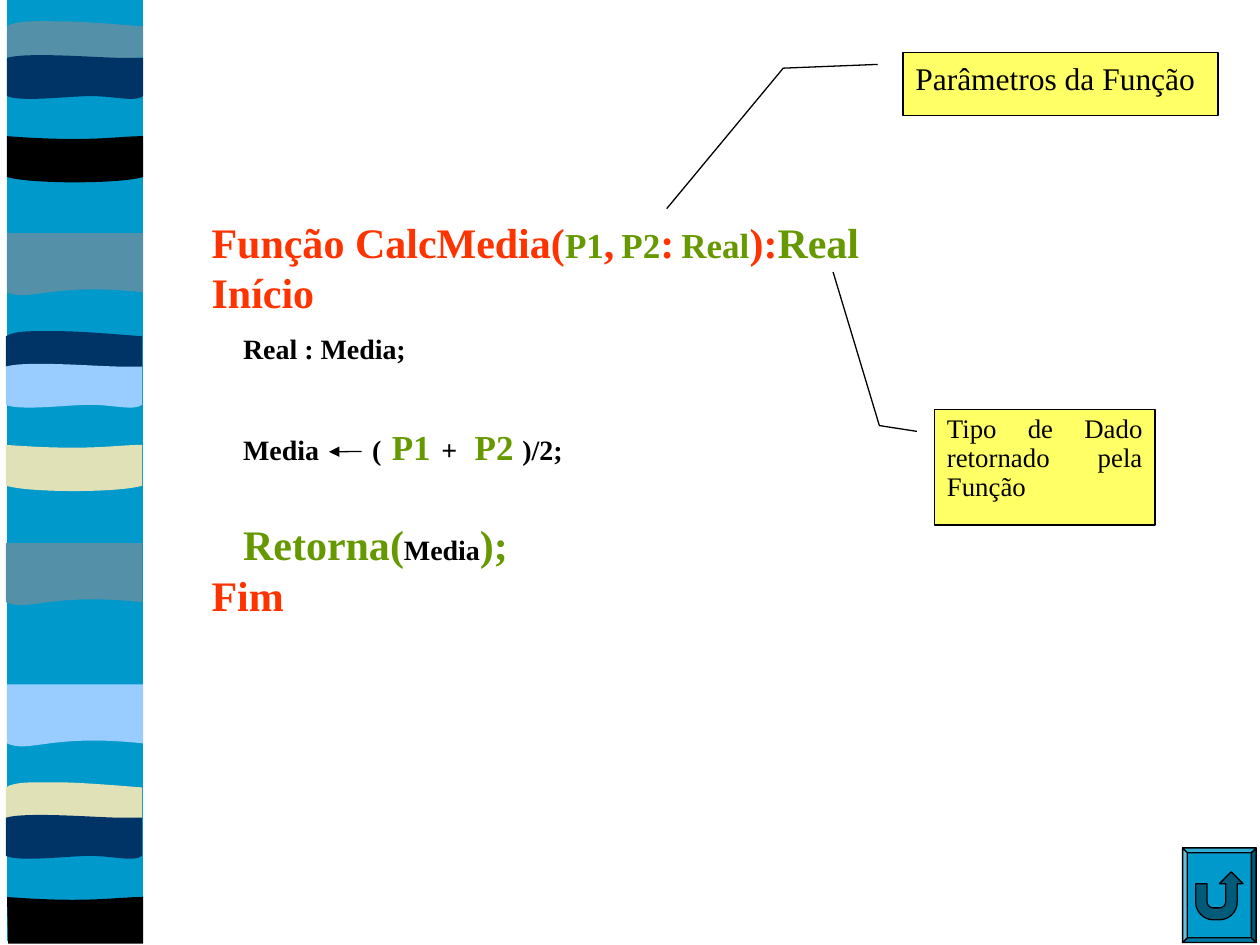
from copy import deepcopy
from pptx import Presentation
from pptx.dml.color import RGBColor
from pptx.enum.shapes import MSO_CONNECTOR as Link, MSO_SHAPE as Shape
from pptx.enum.text import MSO_ANCHOR as Anchor, MSO_AUTO_SIZE as Fit, PP_ALIGN as Align
from pptx.oxml.ns import qn
from pptx.util import Pt
from lxml.etree import SubElement

COLORS = {
    "sea": "0099CC", "slate": "5490A8", "navy": "003366", "sky": "99CCFF",
    "sand": "E1E1B7", "black": "000000", "red": "FF3300", "green": "669900",
    "note": "FFFF66",
}
BAND_WIDTH = 77.8

OUTLINES = {
    "column": [(BAND_WIDTH, 0), (BAND_WIDTH, 538), (0, 538), (0, 0)],
    "flag": [(BAND_WIDTH, 0), (BAND_WIDTH, 33.8),
             (24.5, 28.1, 13, 39.6, 0, 33.8), (0, 0)],
    "arch": [(BAND_WIDTH, 3.6), (BAND_WIDTH, 20.9),
             (64.8, 23.8, 13, 23.8, 0, 20.9), (0, 3.6),
             (5, 0, 17.3, 0.7, 30.2, 0.7),
             (43.2, 0.7, 68.4, 2.9, BAND_WIDTH, 3.6)],
    "bowl": [(BAND_WIDTH, 0), (BAND_WIDTH, 23.3),
             (64.8, 27.4, 13, 27.4, 0, 23.3), (0, 0),
             (48.2, 3.6, 61.9, 0, BAND_WIDTH, 0)],
    "ripple": [(BAND_WIDTH, 3.6), (BAND_WIDTH, 25.4),
               (73.4, 29, 61.2, 25.4, 48.2, 25.4),
               (35.3, 25.4, 8, 29, 0, 25.4), (0, 3.6),
               (11.5, 0, 53.3, 3.6, 66.2, 3.6),
               (79.2, 3.6, 75.6, 3.6, BAND_WIDTH, 3.6)],
    "foot": [(BAND_WIDTH, 0), (BAND_WIDTH, 26.6), (0.7, 26.6), (0, 0),
             (47.5, 3.6, 61.2, 0, BAND_WIDTH, 0)],
}

BANDS = [
    ("column", 4, 0, "sea"),
    ("flag", 4, 133.2, "slate"),
    ("arch", 4, 11.5, "slate"),
    ("bowl", 4, 77.8, "black"),
    ("ripple", 4, 29.5, "navy"),
    ("flag", 3.4, 310.3, "slate"),
    ("arch", 3.4, 188.6, "navy"),
    ("bowl", 3.4, 254.2, "sand"),
    ("ripple", 3.4, 205.9, "sky"),
    ("flag", 4, 391, "sky"),
    ("arch", 3.4, 446.4, "sand"),
    ("foot", 4, 512.6, "black"),
    ("ripple", 3.4, 463.7, "navy"),
]

BEVEL_SHADES = ["lightenLess", "darken", "darkenLess", "lighten"]
RETURN_SIGN = [(7.5, 20.4), (14, 20.4), (14, 30.9),
               (14, 32.7, 15.7, 34.2, 17.6, 34.2), (21, 34.2),
               (23, 34.2, 24.6, 32.7, 24.6, 30.9), (24.6, 20.4),
               (21, 20.4), (27.8, 13.6), (34.6, 20.4), (31.2, 20.4), (31.2, 30.9),
               (31.2, 36.4, 26.6, 41, 21, 41), (17.6, 41),
               (12, 41, 7.5, 36.4, 7.5, 30.9)]

INDENT = ("   ", 24, "red")
SPACE = (" ", 24, "red")
THIN_SPACE = (" ", 16, "black", False)

CODE = [
    (0, [("Função CalcMedia(", 24, "red"), ("P1", 20, "green"), (",", 24, "red"),
         THIN_SPACE, ("P2", 20, "green"), (":", 24, "red"), THIN_SPACE,
         ("Real", 20, "green"), ("):", 24, "red"), ("Real", 24, "green")]),
    (0, [("Início", 24, "red")]),
    (0, [INDENT, ("Real : Media;", 16, "black")]),
    (1, [INDENT, ("Media", 16, "black"), ("\t", 24, "red"), ("(", 16, "black"),
         SPACE, ("P1", 20, "green"), SPACE, ("+", 16, "black"), SPACE,
         THIN_SPACE, ("P2 ", 20, "green"), (")/2;", 16, "black")]),
    (1, [INDENT, ("Retorna(", 24, "green"), ("Media", 16, "black"),
         (");", 24, "green")]),
    (0, [("Fim", 24, "red")]),
]


class Painter:
    font = "Times New Roman"
    stroke = 0.75

    def __init__(self, slide):
        self.slide = slide
        self.shapes = slide.shapes

    def color(self, name):
        return RGBColor.from_string(COLORS[name])

    def finish(self, shape, fill, outlined=True):
        shape.shadow.inherit = False
        shape.fill.solid()
        shape.fill.fore_color.rgb = self.color(fill)
        if outlined:
            shape.line.color.rgb = self.color("black")
            shape.line.width = Pt(self.stroke)
        else:
            shape.line.fill.background()

    def run(self, paragraph, text, size, color, bold=True):
        run = paragraph.add_run()
        run.text = text
        run.font.name = self.font
        run.font.size = Pt(size)
        run.font.bold = bold
        run.font.color.rgb = self.color(color)

    def outline(self, left, top, contours, shades, fill, outlined):
        builder = None
        for edges in contours:
            nodes = [(Pt(left + edge[i]), Pt(top + edge[i + 1]))
                     for edge in edges for i in range(0, len(edge), 2)]
            if builder:
                builder.move_to(*nodes[0])
            else:
                builder = self.shapes.build_freeform(*nodes[0], scale=1.0)
            builder.add_line_segments(nodes[1:], close=True)
        shape = builder.convert_to_shape()
        path = shape._element.find(".//" + qn("a:path"))
        steps = iter([deepcopy(step) for step in path])
        for step in list(path):
            path.remove(step)
        for edges, shade in zip(contours, shades):
            part = SubElement(path.getparent(), qn("a:path"), w=path.get("w"),
                              h=path.get("h"), fill=shade)
            for edge in edges:
                if len(edge) == 2:
                    part.append(next(steps))
                else:
                    curve = SubElement(part, qn("a:cubicBezTo"))
                    for _ in range(3):
                        curve.append(next(steps)[0])
            part.append(next(steps))
        path.getparent().remove(path)
        self.finish(shape, fill, outlined)

    def band(self, kind, left, top, fill):
        self.outline(left, top, [OUTLINES[kind]], ["norm"], fill, outlined=False)

    def button(self, left, top, width, height, bevel):
        outer = [(0, 0), (width, 0), (width, height), (0, height)]
        inner = [(bevel, bevel), (width - bevel, bevel),
                 (width - bevel, height - bevel), (bevel, height - bevel)]
        sides = [[outer[i], outer[(i + 1) % 4], inner[(i + 1) % 4], inner[i]]
                 for i in range(4)]
        self.outline(left, top, [outer, *sides, RETURN_SIGN],
                     ["norm", *BEVEL_SHADES, "darken"], "sea", outlined=True)

    def code(self, left, top, width, height, lines, pitch, tab):
        frame = self.shapes.add_textbox(Pt(left), Pt(top), Pt(width), Pt(height)).text_frame
        frame.word_wrap = True
        frame.auto_size = Fit.SHAPE_TO_FIT_TEXT
        for number, (skipped, runs) in enumerate(lines):
            paragraph = frame.add_paragraph() if number else frame.paragraphs[0]
            stops = SubElement(paragraph._p.get_or_add_pPr(), qn("a:tabLst"))
            SubElement(stops, qn("a:tab"), pos=str(Pt(tab)), algn="l")
            paragraph.line_spacing = Pt(pitch)
            if skipped:
                paragraph.space_before = Pt(pitch * skipped)
            for part in runs:
                self.run(paragraph, *part)

    def arrow(self, x1, y1, x2, y2):
        arrow = self.shapes.add_connector(Link.STRAIGHT, Pt(x1), Pt(y1), Pt(x2), Pt(y2))
        arrow.line.color.rgb = self.color("black")
        arrow.line.width = Pt(self.stroke)
        SubElement(arrow.line._get_or_add_ln(), qn("a:tailEnd"), type="triangle")
        SubElement(arrow._element.spPr, qn("a:effectLst"))

    def callout(self, left, top, width, height, pointer, text, size, spacing=1.0):
        callout = self.shapes.add_shape(Shape.LINE_CALLOUT_2, Pt(left), Pt(top),
                                        Pt(width), Pt(height))
        for index, value in enumerate(pointer):
            callout.adjustments[index] = value
        self.finish(callout, "note")
        frame = callout.text_frame
        frame.word_wrap = True
        frame.vertical_anchor = Anchor.TOP
        paragraph = frame.paragraphs[0]
        paragraph.alignment = Align.JUSTIFY
        paragraph.line_spacing = spacing
        self.run(paragraph, text, size, "black", bold=False)


def main():
    deck = Presentation()
    deck.slide_width, deck.slide_height = Pt(720), Pt(540)
    painter = Painter(deck.slides.add_slide(deck.slide_layouts[6]))
    for band in BANDS:
        painter.band(*band)
    painter.code(113.8, 120.2, 486, 237.6, CODE, pitch=28.8, tab=91.7)
    painter.button(675.8, 484.6, 42, 54, bevel=2.7)
    painter.arrow(206.6, 258, 188, 258.2)
    painter.callout(516, 30, 180, 36, (0.19, -0.08, 0.25, -0.38, 2.48, -0.75),
                    "Parâmetros da Função", 18)
    painter.callout(534, 234, 126, 66, (0.19, -0.08, 0.14, -0.25, -1.19, -0.46),
                    "Tipo de Dado retornado pela Função", 15.3, spacing=0.9)
    deck.save("out.pptx")


if __name__ == "__main__":
    main()
